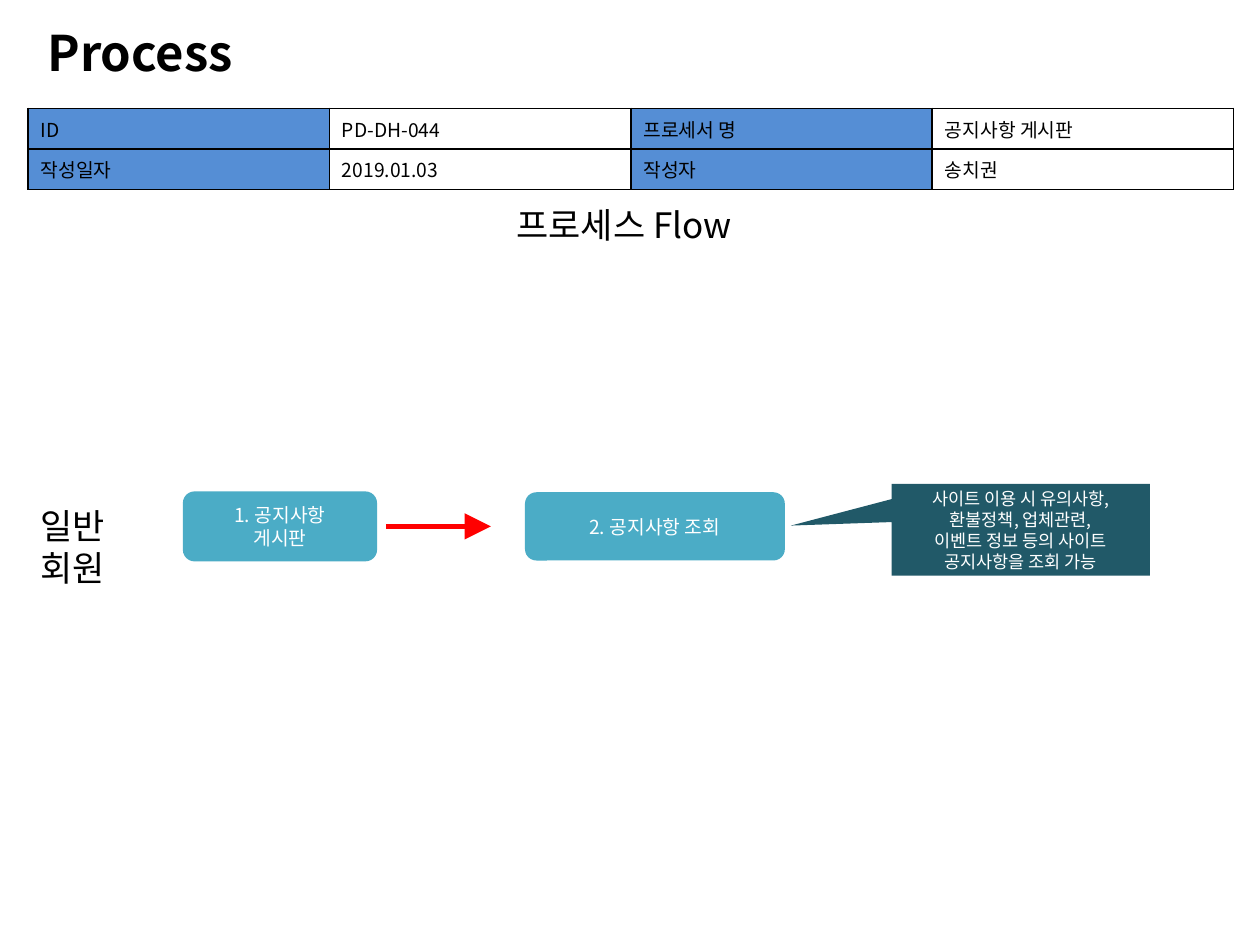
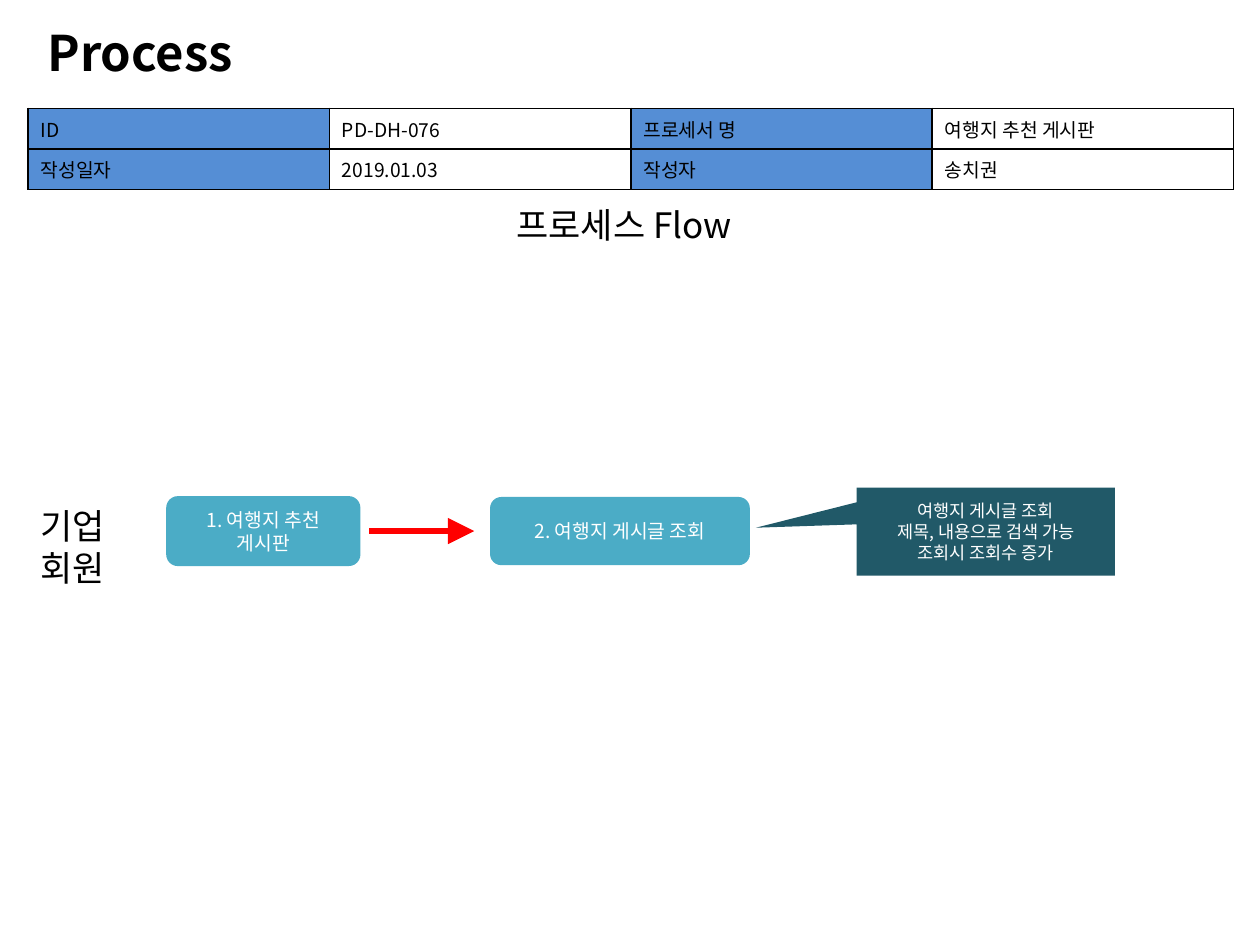
from lxml import etree
from pptx import Presentation
from pptx.dml.color import RGBColor
from pptx.enum import shapes, text
from pptx.oxml import ns
from pptx.util import Pt

FONT = "Noto Sans CJK KR"
BLACK, WHITE = "000000", "FFFFFF"
HEADER_BLUE, STEP_TEAL, NOTE_TEAL, ARROW_RED = "558ED5", "4BACC6", "215968", "FF0000"

TABLE_LEFT, TABLE_TOP, COLUMN_WIDTH, ROW_HEIGHT = 16, 62, 172.25, 20.4
BOARD_WIDTH, BOARD_HEIGHT = 111, 40
LOOKUP_WIDTH, LOOKUP_HEIGHT = 148.5, 39
NOTE_WIDTH, NOTE_BOTTOM, NOTE_GAP = 147.6, 329, 61
ARROW_GAP, ARROW_LENGTH = 5, 60

PROCESSES = [
    dict(code="PD-DH-044", name="공지사항 게시판", member=["일반", "회원"],
         board=["1. 공지사항", "게시판"], lookup=["2. 공지사항 조회"],
         note=["사이트 이용 시 유의사항,", "환불정책, 업체관련,",
               "이벤트 정보 등의 사이트", "공지사항을 조회 가능"],
         board_left=104.5, lookup_left=300, center=300.8, note_height=52.5),
    dict(code="PD-DH-076", name="여행지 추천 게시판", member=["기업", "회원"],
         board=["1. 여행지 추천", "게시판"], lookup=["2. 여행지 게시글 조회"],
         note=["여행지 게시글 조회", "제목, 내용으로 검색 가능", "조회시 조회수 증가"],
         board_left=95, lookup_left=280, center=303.5, note_height=50.3),
]


def rgb(color):
    return RGBColor.from_string(color)


def points(*lengths):
    return [Pt(length) for length in lengths]


def sub(parent, tag, **attributes):
    return etree.SubElement(parent, ns.qn(tag), attributes)


def write(frame, lines, size=11, color=BLACK, bold=False,
          align=text.PP_ALIGN.LEFT, anchor=text.MSO_ANCHOR.TOP):
    """Put one paragraph per line into a text frame."""
    frame.word_wrap = True
    frame.vertical_anchor = anchor
    for index, line in enumerate(lines):
        paragraph = frame.add_paragraph() if index else frame.paragraphs[0]
        paragraph.alignment = align
        run = paragraph.add_run()
        run.text = line
        run.font.size = Pt(size)
        run.font.bold = bold
        run.font.color.rgb = rgb(color)
        run.font.name = FONT
        sub(run.font._element, "a:ea", typeface=FONT)


def add_title(slide, wording):
    title = slide.shapes.title
    title.left, title.top, title.width, title.height = points(20, 9.5, 646.5, 41)
    write(title.text_frame, [wording], size=28, bold=True)
    title.text_frame.auto_size = text.MSO_AUTO_SIZE.NONE


def add_label(slide, lines, *box):
    label = slide.shapes.add_textbox(*points(*box))
    write(label.text_frame, lines, size=20)


def draw_borders(cell):
    properties = cell._tc.get_or_add_tcPr()
    for position, side in enumerate(("a:lnL", "a:lnR", "a:lnT", "a:lnB")):
        border = sub(properties, side, w=str(Pt(1)))
        sub(sub(border, "a:solidFill"), "a:srgbClr", val=BLACK)
        properties.insert(position, border)


def add_summary(slide, rows):
    """Table whose even columns hold field names and odd ones values."""
    row_count, column_count = len(rows), len(rows[0])
    table = slide.shapes.add_table(
        row_count, column_count,
        *points(TABLE_LEFT, TABLE_TOP, COLUMN_WIDTH * column_count,
                ROW_HEIGHT * row_count)).table
    table.first_row = table.horz_banding = False
    for column in table.columns:
        column.width = Pt(COLUMN_WIDTH)
    for r, row in enumerate(rows):
        table.rows[r].height = Pt(ROW_HEIGHT)
        for c, wording in enumerate(row):
            cell = table.cell(r, c)
            cell.fill.solid()
            cell.fill.fore_color.rgb = rgb(WHITE if c % 2 else HEADER_BLUE)
            draw_borders(cell)
            write(cell.text_frame, [wording])


def add_box(slide, kind, lines, box, fill, size=11):
    shape = slide.shapes.add_shape(kind, *points(*box))
    shape.shadow.inherit = False
    shape.fill.solid()
    shape.fill.fore_color.rgb = rgb(fill)
    shape.line.fill.background()
    write(shape.text_frame, lines, size=size, color=WHITE,
          align=text.PP_ALIGN.CENTER, anchor=text.MSO_ANCHOR.MIDDLE)
    return shape


def add_step(slide, lines, left, center, width, height):
    add_box(slide, shapes.MSO_SHAPE.ROUNDED_RECTANGLE, lines,
            (left, center - height / 2, width, height), STEP_TEAL)


def add_note(slide, lines, left, height):
    note = add_box(slide, shapes.MSO_SHAPE.RECTANGULAR_CALLOUT, lines,
                   (left, NOTE_BOTTOM - height, NOTE_WIDTH, height),
                   NOTE_TEAL, size=10)
    note.adjustments[0], note.adjustments[1] = -0.89, -0.045


def add_arrow(slide, left, center):
    arrow = slide.shapes.add_connector(
        shapes.MSO_CONNECTOR.STRAIGHT,
        *points(left, center, left + ARROW_LENGTH, center))
    arrow.line.color.rgb = rgb(ARROW_RED)
    arrow.line.width = Pt(3)
    sub(arrow.line._get_or_add_ln(), "a:tailEnd", type="triangle", w="lg", len="lg")
    sub(arrow._element.spPr, "a:effectLst")


def add_flow(slide, process):
    board_left, lookup_left = process["board_left"], process["lookup_left"]
    center = process["center"]
    add_step(slide, process["board"], board_left, center, BOARD_WIDTH, BOARD_HEIGHT)
    add_arrow(slide, board_left + BOARD_WIDTH + ARROW_GAP, center)
    add_step(slide, process["lookup"], lookup_left, center,
             LOOKUP_WIDTH, LOOKUP_HEIGHT)
    add_note(slide, process["note"], lookup_left + LOOKUP_WIDTH + NOTE_GAP,
             process["note_height"])


def main():
    deck = Presentation()
    deck.slide_width, deck.slide_height = points(720, 540)
    title_only = deck.slide_layouts[5]
    for process in PROCESSES:
        slide = deck.slides.add_slide(title_only)
        add_title(slide, "Process")
        add_summary(slide, [
            ["ID", process["code"], "프로세서 명", process["name"]],
            ["작성일자", "2019.01.03", "작성자", "송치권"],
        ])
        add_label(slide, ["프로세스 Flow"], 288, 113, 145, 31.5)
        add_label(slide, process["member"], 16, 285, 55, 55.5)
        add_flow(slide, process)
    deck.save("out.pptx")


if __name__ == "__main__":
    main()
